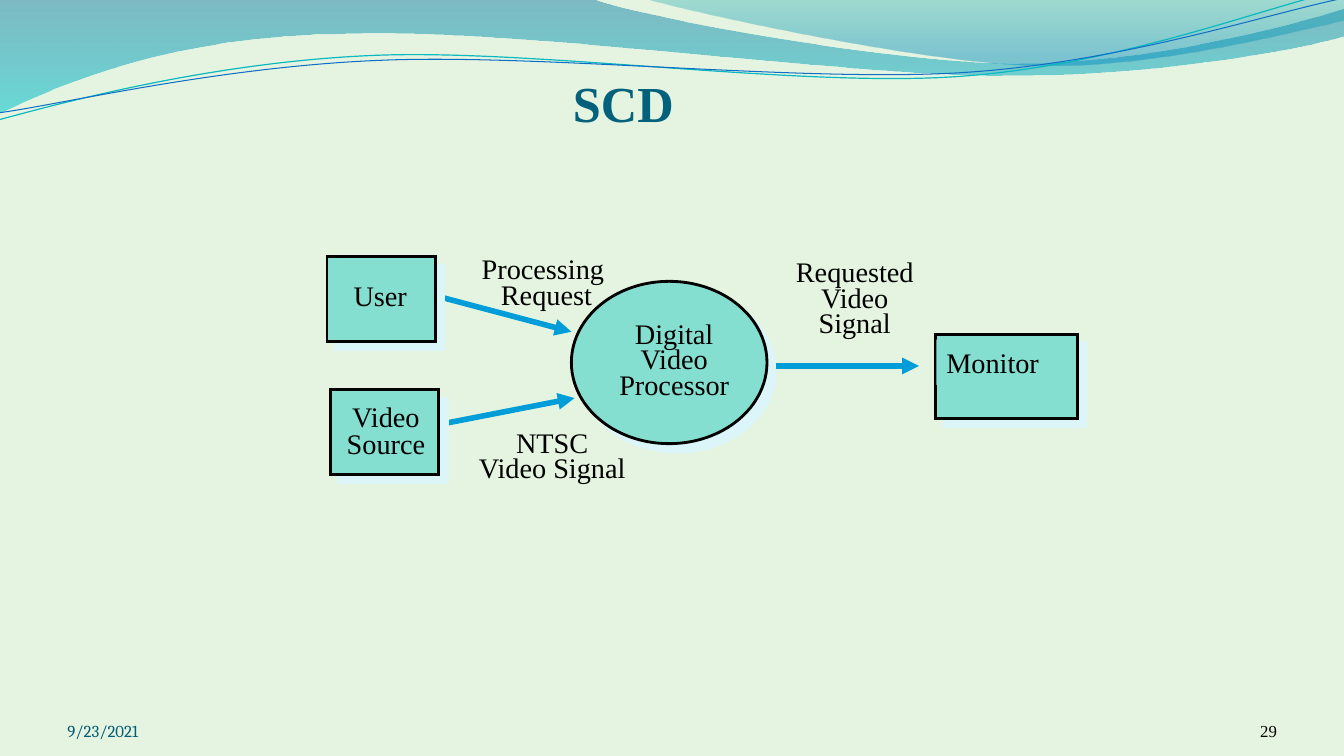
from lxml.etree import SubElement
from pptx import Presentation
from pptx.dml.color import RGBColor
from pptx.enum.shapes import MSO_CONNECTOR, MSO_SHAPE
from pptx.enum.text import MSO_ANCHOR, MSO_AUTO_SIZE, PP_ALIGN
from pptx.oxml.ns import qn
from pptx.util import Cm, Pt

COLORS = {
    "background": "E5F4E0", "title": "04617B", "date": "045D75", "text": "000000",
    "node": "85DFD0", "outline": "000000", "shadow": "DBF5F9", "arrow": "009DD9",
    "deep": "0074A1", "aqua": "00C6CF", "teal": "00A1A9", "sky": "008BBF",
    "teal_line": "0AB8BF", "blue_line": "0F6FC6",
}
SERIF = "Times New Roman"

BANDS = [
    ([(0, -0.03), (14.91, -0.03),
      (16.1, 0.43, 22.48, 1.6, 25.68, 1.6), (28.91, 1.6, 32.46, 0.66, 33.86, 0.23),
      (33.91, 0.91), (33.3, 1.12, 29.46, 1.93, 25.25, 1.91),
      (21.06, 1.91, 12.93, 0.71, 8.71, 0.86), (4.37, 0.89, 1.55, 2.11, -0.03, 2.87)],
     [("deep", 0, 45), ("aqua", 1, 55)]),
    ([(16.23, -0.03), (17.25, 0.28, 23.09, 1.57, 26.04, 1.65),
      (28.98, 1.75, 32.56, 0.81, 33.86, 0.53), (33.86, 0)],
     [("teal", 0, 30), ("sky", 0.8, 45)]),
]
STRANDS = [
    ([(-0.03, 3.02), (1.63, 2.57, 5.36, 1.57, 9.37, 1.4),
      (13.39, 1.22, 20.07, 2.21, 24.13, 1.93), (28.19, 1.65, 31.8, 0.2, 33.81, -0.25)],
     "teal_line", 0.85),
    ([(0, 2.84), (1.6, 2.62, 5.54, 1.68, 9.6, 1.52),
      (13.61, 1.35, 20.22, 2.08, 24.26, 1.83), (28.32, 1.57, 31.88, 0.36, 33.88, -0.05)],
     "blue_line", 0.75),
]
PROCESSOR = (6.17, 0.64, 4.93, 4.09)
TERMINATORS = [(0.01, 0.02, 2.74, 2.13), (0.09, 3.37, 2.74, 2.13), (15.35, 1.97, 3.58, 2.13)]
FLOWS = [(2.51, 0.94, 6.17, 1.91), (2.46, 4.32, 6.25, 3.58), (11.33, 2.77, 14.93, 2.77)]
LABELS = [
    (["User"], (0.43, 0.43, 1.93, 1.14), True, 1),
    (["Processing ", "Request"], (3.52, -0.04, 4.04, 1.57), False, 0.75),
    (["Video", "Source"], (0.21, 3.64, 2.57, 1.68), True, 0.8),
    (["NTSC", "Video Signal"], (3.46, 4.33, 4.45, 1.57), False, 0.75),
    (["Digital", "Video", "Processor"], (7.07, 1.58, 3.38, 2.24), True, 0.75),
    (["Requested", "Video", "Signal"], (11.52, 0.03, 3.58, 2.24), False, 0.75),
    (["Monitor"], (15.37, 2.11, 3.12, 1.14), True, 1),
]


def rgb(name):
    return RGBColor.from_string(COLORS[name])


def set_font(p, size, color, name=SERIF, bold=False):
    p.font.size, p.font.name, p.font.bold = Pt(size), name, bold
    p.font.color.rgb = rgb(color)


def set_margins(tf, x, y):
    tf.margin_left = tf.margin_right = Cm(x)
    tf.margin_top = tf.margin_bottom = Cm(y)


def add_path(s, segments, left, top, close):
    points = [(Cm(left + x), Cm(top + y))
              for seg in segments for x, y in zip(seg[::2], seg[1::2])]
    builder = s.shapes.build_freeform(*points[0])
    builder.add_line_segments(points[1:], close=close)
    sp = builder.convert_to_shape()
    sp.shadow.inherit = False
    steps = iter(list(sp.element.spPr.iter(qn("a:lnTo"))))
    for seg in segments[1:]:
        step = next(steps)
        if len(seg) == 6:
            step.tag = qn("a:cubicBezTo")
            for _ in range(2):
                extra = next(steps)
                step.append(extra[0])
                extra.getparent().remove(extra)
    return sp


def add_waves(s, left, top):
    for segments, stops in BANDS:
        sp = add_path(s, segments, left, top, True)
        sp.line.fill.background()
        sp.fill.gradient()
        sp.fill.gradient_angle = 270
        for stop, (color, position, opacity) in zip(sp.fill.gradient_stops, stops):
            stop.color.rgb = rgb(color)
            stop.position = position
        tints = sp.element.spPr.iter(qn("a:srgbClr"))
        for tint, (color, position, opacity) in zip(tints, stops):
            SubElement(tint, qn("a:alpha"), val=str(opacity * 1000))
    for segments, color, width in STRANDS:
        sp = add_path(s, segments, left, top, False)
        sp.fill.background()
        sp.line.color.rgb = rgb(color)
        sp.line.width = Pt(width)


def add_title(s, left, top, width, height):
    title = s.shapes.title
    title.left, title.top, title.width, title.height = map(Cm, (left, top, width, height))
    tf = title.text_frame
    tf.text = "SCD"
    tf.vertical_anchor = MSO_ANCHOR.BOTTOM
    set_margins(tf, 0.25, 0.13)
    tf.margin_bottom = Cm(2.27)
    p = tf.paragraphs[0]
    p.alignment = PP_ALIGN.CENTER
    set_font(p, 36, "title", bold=True)


def add_node(s, kind, left, top, width, height):
    sp = s.shapes.add_shape(kind, Cm(left), Cm(top), Cm(width), Cm(height))
    sp.fill.solid()
    sp.fill.fore_color.rgb = rgb("node")
    sp.line.color.rgb = rgb("outline")
    sp.line.width = Pt(2)
    SubElement(sp.element.spPr.find(qn("a:ln")), qn("a:miter"), lim="800000")
    sp.shadow.inherit = False
    effects = sp.element.spPr.find(qn("a:effectLst"))
    shadow = SubElement(effects, qn("a:outerShdw"), blurRad="0", dist=str(Pt(8.5)),
                        dir="2700000", algn="ctr", rotWithShape="0")
    SubElement(shadow, qn("a:srgbClr"), val=COLORS["shadow"])


def add_flow(s, x1, y1, x2, y2):
    flow = s.shapes.add_connector(MSO_CONNECTOR.STRAIGHT, Cm(x1), Cm(y1), Cm(x2), Cm(y2))
    flow.line.color.rgb = rgb("arrow")
    flow.line.width = Pt(4)
    properties = flow.element.spPr
    SubElement(properties.find(qn("a:ln")), qn("a:tailEnd"), type="triangle")
    SubElement(properties, qn("a:effectLst"))


def add_label(s, lines, filled, spacing, left, top, width, height):
    box = s.shapes.add_textbox(Cm(left), Cm(top), Cm(width), Cm(height))
    if filled:
        box.fill.solid()
        box.fill.fore_color.rgb = rgb("node")
    tf = box.text_frame
    tf.text = "\n".join(lines)
    tf.word_wrap = lines == ["Monitor"]
    tf.auto_size = MSO_AUTO_SIZE.SHAPE_TO_FIT_TEXT
    set_margins(tf, 0.25, 0.13)
    for p in tf.paragraphs:
        p.alignment = PP_ALIGN.CENTER if len(lines) > 1 else PP_ALIGN.LEFT
        p.line_spacing = spacing
        set_font(p, 20.2, "text")


def add_context_diagram(s, left, top):
    def place(x, y, width, height):
        return left + x, top + y, width, height

    add_node(s, MSO_SHAPE.OVAL, *place(*PROCESSOR))
    for x1, y1, x2, y2 in FLOWS:
        add_flow(s, left + x1, top + y1, left + x2, top + y2)
    for box in TERMINATORS:
        add_node(s, MSO_SHAPE.RECTANGLE, *place(*box))
    for lines, box, filled, spacing in LABELS:
        add_label(s, lines, filled, spacing, *place(*box))


def add_footer(s, left, top, width, height):
    parts = [
        ("9/23/2021", left, 7.9, PP_ALIGN.LEFT, "Cambria", "date"),
        ("29", left + width - 2.82, 2.82, PP_ALIGN.RIGHT, SERIF, "text"),
    ]
    for text, x, w, align, font, color in parts:
        tf = s.shapes.add_textbox(Cm(x), Cm(top), Cm(w), Cm(height)).text_frame
        tf.text = text
        tf.word_wrap = True
        tf.vertical_anchor = MSO_ANCHOR.BOTTOM
        set_margins(tf, 0, 0)
        tf.paragraphs[0].alignment = align
        set_font(tf.paragraphs[0], 12, color, font)


def main():
    prs = Presentation()
    prs.slide_width, prs.slide_height = Cm(33.87), Cm(19.05)
    s = prs.slides.add_slide(prs.slide_layouts[5])
    s.background.fill.solid()
    s.background.fill.fore_color.rgb = rgb("background")
    add_waves(s, 0, 0)
    add_title(s, 5.59, 2.03, 20.24, 3.58)
    add_context_diagram(s, 8.23, 6.45)
    add_footer(s, 1.7, 17.65, 30.48, 1.02)
    prs.save("out.pptx")


if __name__ == "__main__":
    main()
